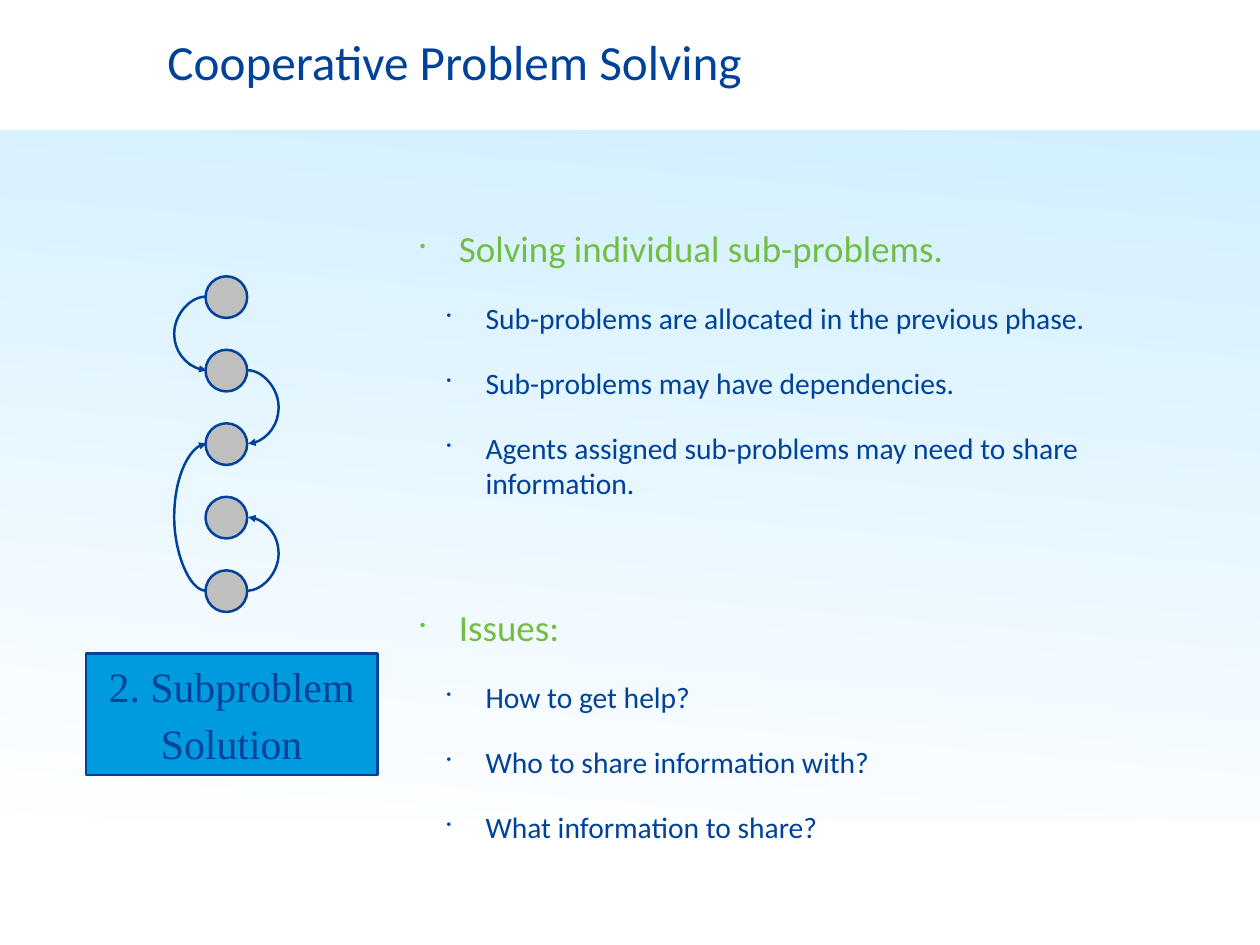
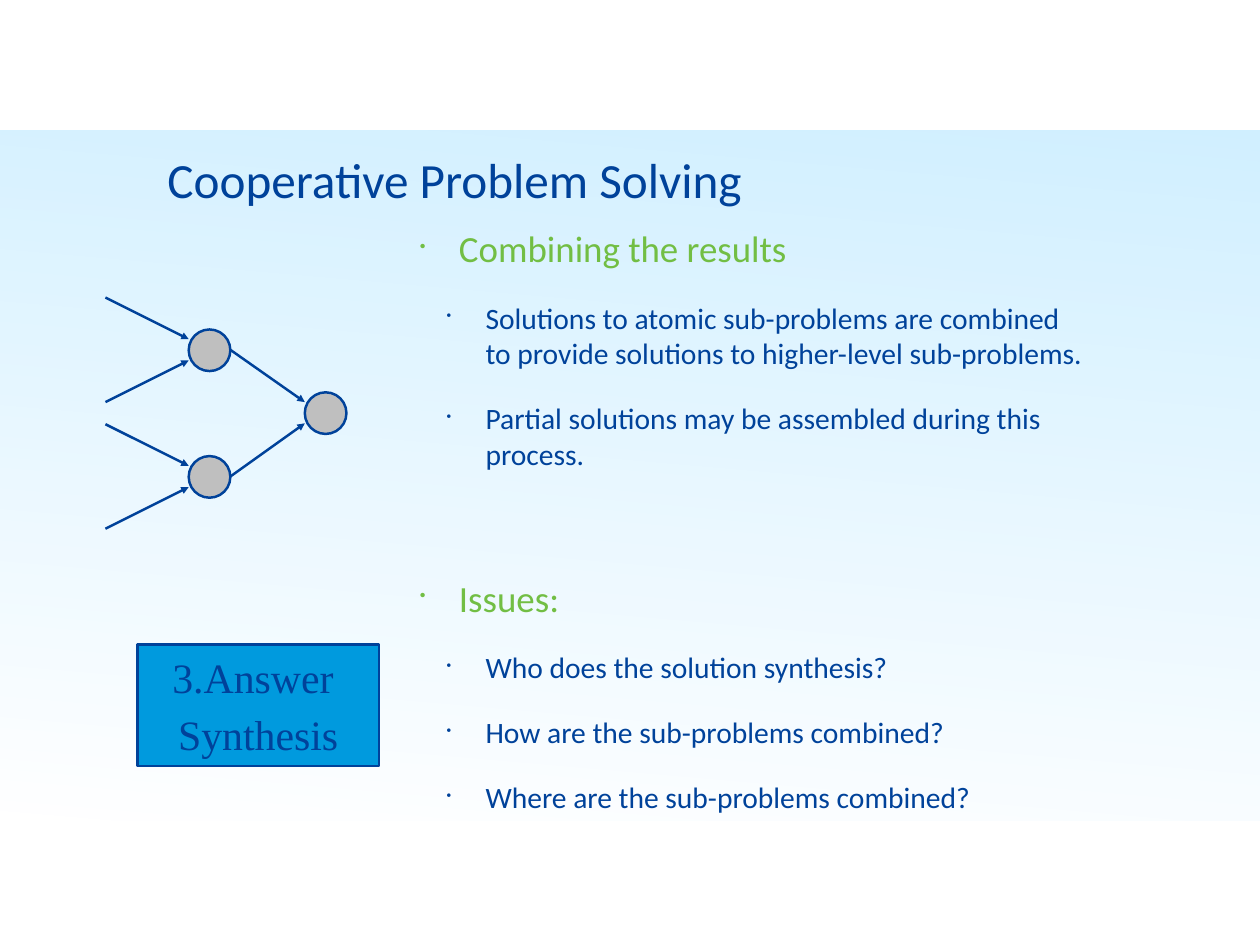
import pptx
import pptx.dml.color
import pptx.enum.shapes
import pptx.enum.text
import pptx.oxml
import pptx.oxml.ns
import pptx.util
from lxml import etree

PX = 9144  # EMU: 100 px to the inch
COLORS = {"navy": "00429A", "green": "72BE44", "blue": "009ADE",
          "grey": "BFBFBF", "sky": "66CCFF", "white": "FFFFFF"}
SANS, SERIF = "Calibri", "Times New Roman"
NODE = 47
RADIUS = NODE // 2
BULGE = 36
qn = pptx.oxml.ns.qn
SHAPE = pptx.enum.shapes.MSO_SHAPE
CONNECTOR = pptx.enum.shapes.MSO_CONNECTOR


def px(*values):
    return [pptx.util.Emu(v * PX) for v in values]


def rgb(name):
    return pptx.dml.color.RGBColor.from_string(COLORS[name])


def style_runs(p, size, color, font):
    for r in p.runs:
        r.font.size = pptx.util.Pt(size)
        r.font.name = font
        r.font.color.rgb = rgb(color)


def set_frame(tf, side, edge):
    tf.word_wrap = True
    tf.margin_left = tf.margin_right = px(side)[0]
    tf.margin_top = tf.margin_bottom = px(edge)[0]


def add_shape(shapes, kind, box, fill, outlined=True):
    sp = shapes.add_shape(kind, *px(*box))
    sp.shadow.inherit = False
    sp.fill.solid()
    sp.fill.fore_color.rgb = rgb(fill)
    if outlined:
        sp.line.color.rgb = rgb("navy")
        sp.line.width = pptx.util.Pt(2)
    else:
        sp.line.fill.background()
    return sp


def add_background(prs, s):
    """Build the gradient band and the footer strip, then move them to the master."""
    band = add_shape(s.shapes, SHAPE.RECTANGLE, (0, 147, 1422, 780), "sky", False)
    band.fill.gradient()
    band.fill.gradient_angle = 265
    for stop, color in zip(band.fill.gradient_stops, ("sky", "white")):
        stop.color.rgb = rgb(color)
    for clr in band.element.iter(qn("a:srgbClr")):
        etree.SubElement(clr, qn("a:alpha"), val="30000")
    strip = add_shape(s.shapes, SHAPE.RECTANGLE, (40, 938, 1337, 88), "white", False)
    for i, sp in enumerate((band, strip)):
        prs.slide_master.shapes.element.insert(2 + i, sp.element)


def add_title(s, text, top):
    title = s.shapes.title
    title.left, title.top, title.width, title.height = px(183, top, 1153, 165)
    tf = title.text_frame
    tf.text = text
    set_frame(tf, 6, 6)
    tf.vertical_anchor = pptx.enum.text.MSO_ANCHOR.TOP
    p = tf.paragraphs[0]
    p.alignment = pptx.enum.text.PP_ALIGN.LEFT
    style_runs(p, 40, "navy", SANS)


def add_bullet(p, text, level, space):
    p.text = text
    p.level = level
    p.space_before = pptx.util.Pt(space)
    pPr = p._p.get_or_add_pPr()
    pPr.set("marL", str((44 + 30 * level) * PX))
    pPr.set("indent", str(-44 * PX))
    etree.SubElement(pPr, qn("a:buSzPct"), val="46000")
    etree.SubElement(pPr, qn("a:buChar"), char="•")
    style_runs(p, *((24, "navy") if level else (30, "green")), SANS)


def add_outline(s, sections):
    """Write (heading, points) sections as a two-level bullet list."""
    tf = s.shapes.add_textbox(*px(468, 249, 765, 758)).text_frame
    set_frame(tf, 6, 6)
    for i, (heading, points) in enumerate(sections):
        p = tf.add_paragraph() if i else tf.paragraphs[0]
        add_bullet(p, heading, 0, 85 if i else 0)
        for point in points:
            add_bullet(tf.add_paragraph(), point, 1, 24)


def add_node(shapes, x, y):
    add_shape(shapes, SHAPE.OVAL, (x, y, NODE, NODE), "grey")


def add_arrow(shapes, start, end, kind=CONNECTOR.STRAIGHT):
    cxn = shapes.add_connector(kind, *px(*start, *end))
    cxn.line.color.rgb = rgb("navy")
    cxn.line.width = pptx.util.Pt(2)
    spPr = cxn.element.spPr
    etree.SubElement(spPr.find(qn("a:ln")), qn("a:tailEnd"), type="triangle")
    etree.SubElement(spPr, qn("a:effectLst"))
    return cxn


def add_curve(shapes, x, y1, y2, bulge):
    """Join two heights by a curve that swings out sideways by bulge px."""
    cxn = add_arrow(shapes, (x, y1), (x + 1, y2), CONNECTOR.CURVE)
    adjustments = next(cxn.element.iter(qn("a:avLst")))
    etree.SubElement(adjustments, qn("a:gd"), name="adj1", fmla=f"val {bulge * 100000}")


def add_phase_box(s, lines, box):
    tf = add_shape(s.shapes, SHAPE.RECTANGLE, box, "blue").text_frame
    set_frame(tf, 14, 7)
    tf.vertical_anchor = pptx.enum.text.MSO_ANCHOR.MIDDLE
    tf.text = "\n".join(lines)
    for i, p in enumerate(tf.paragraphs):
        p.alignment = pptx.enum.text.PP_ALIGN.CENTER
        p.space_before = pptx.util.Pt(6 if i else 0)
        style_runs(p, 34, "navy", SERIF)


def add_dependency_chain(s):
    shapes = s.shapes.add_group_shape().shapes
    left, tops = 232, [312 + 83 * i for i in range(5)]
    for top in tops:
        add_node(shapes, left, top)
    mid = [top + RADIUS for top in tops]
    for start, end, on_right in ((0, 1, False), (1, 2, True), (4, 3, True), (4, 2, False)):
        x, bulge = (left + NODE, BULGE) if on_right else (left, -BULGE)
        add_curve(shapes, x, mid[start], mid[end], bulge)


def add_synthesis_tree(s):
    shapes = s.shapes.add_group_shape().shapes
    left, root_left, root_top = 213, 344, 443
    add_node(shapes, root_left, root_top)
    for top, side in ((372, -1), (515, 1)):
        add_node(shapes, left, top)
        mid = top + RADIUS
        for way in (-1, 1):
            add_arrow(shapes, (119, mid + 59 * way), (left, mid + 12 * way))
        add_arrow(shapes, (left + NODE, mid),
                  (root_left, root_top + RADIUS + 12 * side))


def main():
    prs = pptx.Presentation()
    prs.slide_width, prs.slide_height = px(1422, 1067)
    layout = prs.slide_layouts[5]
    title = "Cooperative Problem Solving"

    s = prs.slides.add_slide(layout)
    add_background(prs, s)
    add_title(s, title, 29)
    add_outline(s, [
        ("Solving individual sub-problems.", [
            "Sub-problems are allocated in the previous phase.",
            "Sub-problems may have dependencies.",
            "Agents assigned sub-problems may need to share information."]),
        ("Issues:", [
            "How to get help?",
            "Who to share information with?",
            "What information to share?"])])
    add_dependency_chain(s)
    add_phase_box(s, ["2. Subproblem", "Solution"], (97, 738, 329, 137))

    s = prs.slides.add_slide(layout)
    add_title(s, title, 163)
    add_outline(s, [
        ("Combining the results", [
            "Solutions to atomic sub-problems are combined to provide "
            "solutions to higher-level sub-problems.",
            "Partial solutions may be assembled during this process."]),
        ("Issues:", [
            "Who does the solution synthesis?",
            "How are the sub-problems combined?",
            "Where are the sub-problems combined?"])])
    add_synthesis_tree(s)
    add_phase_box(s, ["3.Answer ", "Synthesis"], (155, 728, 273, 137))

    prs.save("out.pptx")


if __name__ == "__main__":
    main()
